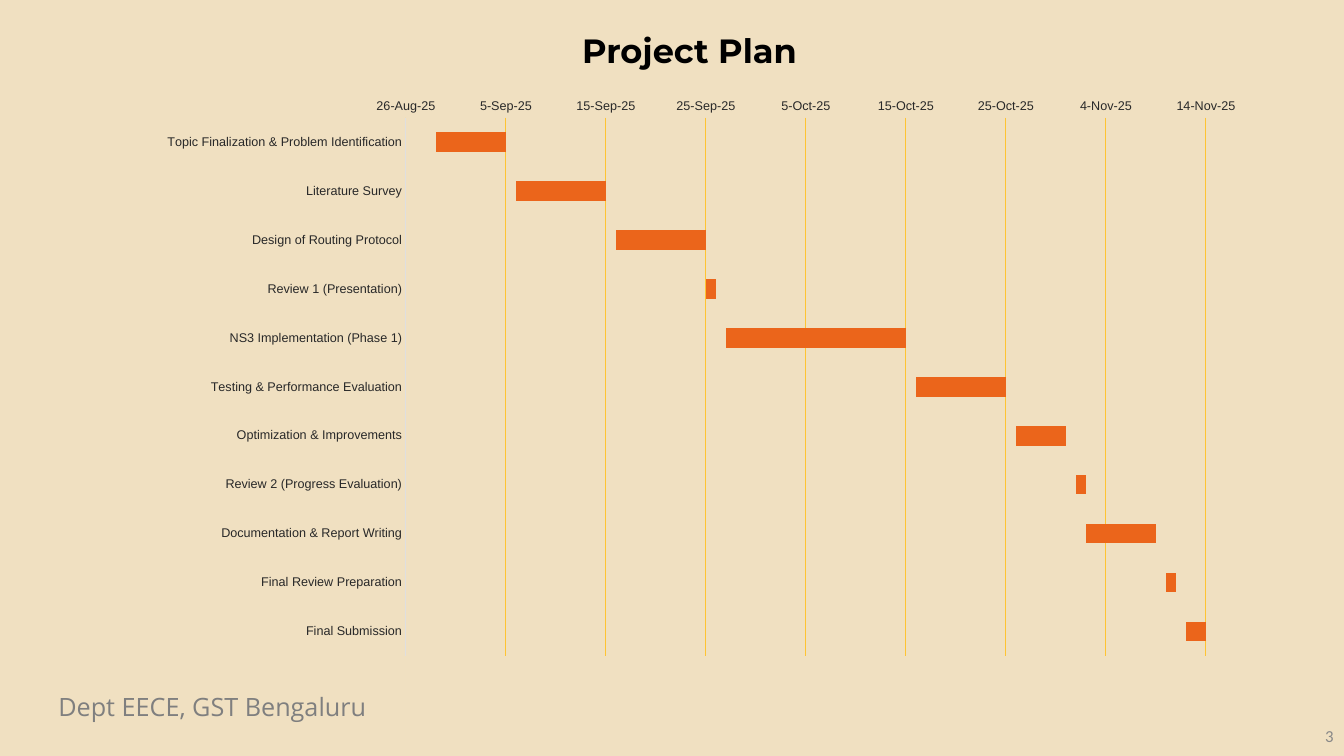
import pptx
import pptx.chart.data
import pptx.dml.color
import pptx.enum.chart
import pptx.enum.text
import pptx.oxml
import pptx.oxml.ns
import pptx.util

Cm, Pt = pptx.util.Cm, pptx.util.Pt
ALIGN = pptx.enum.text.PP_ALIGN
ANCHOR = pptx.enum.text.MSO_ANCHOR

FIRST_DAY = 45895  # 26-Aug-25 as a spreadsheet date
DAYS_SHOWN = 80
TASKS = [  # name, start in days after FIRST_DAY, length in days
    ("Topic Finalization & Problem Identification", 3, 7),
    ("Literature Survey", 11, 9),
    ("Design of Routing Protocol", 21, 9),
    ("Review 1 (Presentation)", 30, 1),
    ("NS3 Implementation (Phase 1)", 32, 18),
    ("Testing & Performance Evaluation", 51, 9),
    ("Optimization & Improvements", 61, 5),
    ("Review 2 (Progress Evaluation)", 67, 1),
    ("Documentation & Report Writing", 68, 7),
    ("Final Review Preparation", 76, 1),
    ("Final Submission", 78, 2),
]


def colour(code):
    return pptx.dml.color.RGBColor.from_string(code)


def apply(target, **values):
    for name, value in values.items():
        setattr(target, name, value)


class PlanSlide:
    """Holds the style and the current slide; boxes are (left, top, width, height) in cm."""

    background, ink, bar, grid, axis = "F0E0C1", "282828", "EB651B", "FEC433", "DFDFDF"

    def __init__(self, deck):
        self.page = deck.slides.add_slide(deck.slide_layouts[6])
        fill = self.page.background.fill
        fill.solid()
        fill.fore_color.rgb = colour(self.background)

    def style_font(self, font, size, name, code, bold=False):
        apply(font, size=Pt(size), name=name, bold=bold)
        font.color.rgb = colour(code)

    def style_line(self, line, code):
        line.width = Pt(0.75)
        line.color.rgb = colour(code)

    def text(self, box, words, size, font, code, bold=False,
             align=ALIGN.LEFT, anchor=ANCHOR.TOP):
        frame = self.page.shapes.add_textbox(*map(Cm, box)).text_frame
        apply(frame, word_wrap=True, vertical_anchor=anchor)
        para = frame.paragraphs[0]
        para.alignment = align
        span = para.add_run()
        span.text = words
        self.style_font(span.font, size, font, code, bold)

    def gantt(self, box, plot_box, tasks):
        """Stacked bars whose first series, the start date, is invisible."""
        names, starts, lengths = zip(*tasks)
        data = pptx.chart.data.CategoryChartData()
        data.categories = names
        data.add_series("Start", [FIRST_DAY + start for start in starts])
        data.add_series("Days", lengths)
        kind = pptx.enum.chart.XL_CHART_TYPE.BAR_STACKED
        chart = self.page.shapes.add_chart(kind, *map(Cm, box), data).chart
        apply(chart, has_legend=False, has_title=False)
        self.style_font(chart.font, 10, "Arial", self.ink)

        plot = chart.plots[0]
        apply(plot, gap_width=150, overlap=100, vary_by_categories=False)
        start_bars, task_bars = plot.series
        start_bars.format.fill.background()
        task_bars.format.fill.solid()
        task_bars.format.fill.fore_color.rgb = colour(self.bar)

        no_tick = pptx.enum.chart.XL_TICK_MARK.NONE
        for axis in (chart.category_axis, chart.value_axis):
            apply(axis, major_tick_mark=no_tick, minor_tick_mark=no_tick)
            self.style_font(axis.tick_labels.font, 9, "Arial", self.ink)
        chart.category_axis.reverse_order = True
        self.style_line(chart.category_axis.format.line, self.axis)
        dates = chart.value_axis
        apply(dates, minimum_scale=FIRST_DAY, maximum_scale=FIRST_DAY + DAYS_SHOWN,
              major_unit=10, has_major_gridlines=True)
        apply(dates.tick_labels, number_format="d\\-mmm\\-yy", number_format_is_linked=False)
        dates.format.line.fill.background()
        self.style_line(dates.major_gridlines.format.line, self.grid)
        self.place_plot(chart, box, plot_box)

    def place_plot(self, chart, box, plot_box):
        """Fix the inner plot area, given in slide cm, as fractions of the chart."""
        left, top, width, height = box
        inner_left, inner_top, inner_width, inner_height = plot_box
        shares = {"x": (inner_left - left) / width, "y": (inner_top - top) / height,
                  "w": inner_width / width, "h": inner_height / height}
        modes = "".join(f'<c:{key}Mode val="edge"/>' for key in "xy")
        sizes = "".join(f'<c:{key} val="{share:.4f}"/>' for key, share in shares.items())
        layout = pptx.oxml.parse_xml(
            f'<c:layout {pptx.oxml.ns.nsdecls("c")}><c:manualLayout>'
            f'<c:layoutTarget val="inner"/>{modes}{sizes}</c:manualLayout></c:layout>')
        area = chart.element.xpath("c:chart/c:plotArea")[0]
        for old in area.xpath("c:layout"):
            area.remove(old)
        area.insert(0, layout)


def main():
    deck = pptx.Presentation()
    apply(deck, slide_width=Cm(33.87), slide_height=Cm(19.05))
    plan = PlanSlide(deck)
    plan.text((1.22, 17.3, 13.31, 1.02), "Dept EECE, GST Bengaluru", 18, "Open Sans", "7F7F7F")
    plan.text((26.24, 18.03, 7.62, 1.02), "3", 12, "Calibri", "888888",
              align=ALIGN.RIGHT, anchor=ANCHOR.MIDDLE)
    plan.text((2.77, 0.64, 29.21, 1.37), "Project Plan", 24, "Montserrat", "000000",
              bold=True, align=ALIGN.CENTER)
    plan.gantt((3.66, 2.21, 28.04, 14.63), (10.23, 2.97, 20.16, 13.56), TASKS)
    deck.save("out.pptx")


if __name__ == "__main__":
    main()
